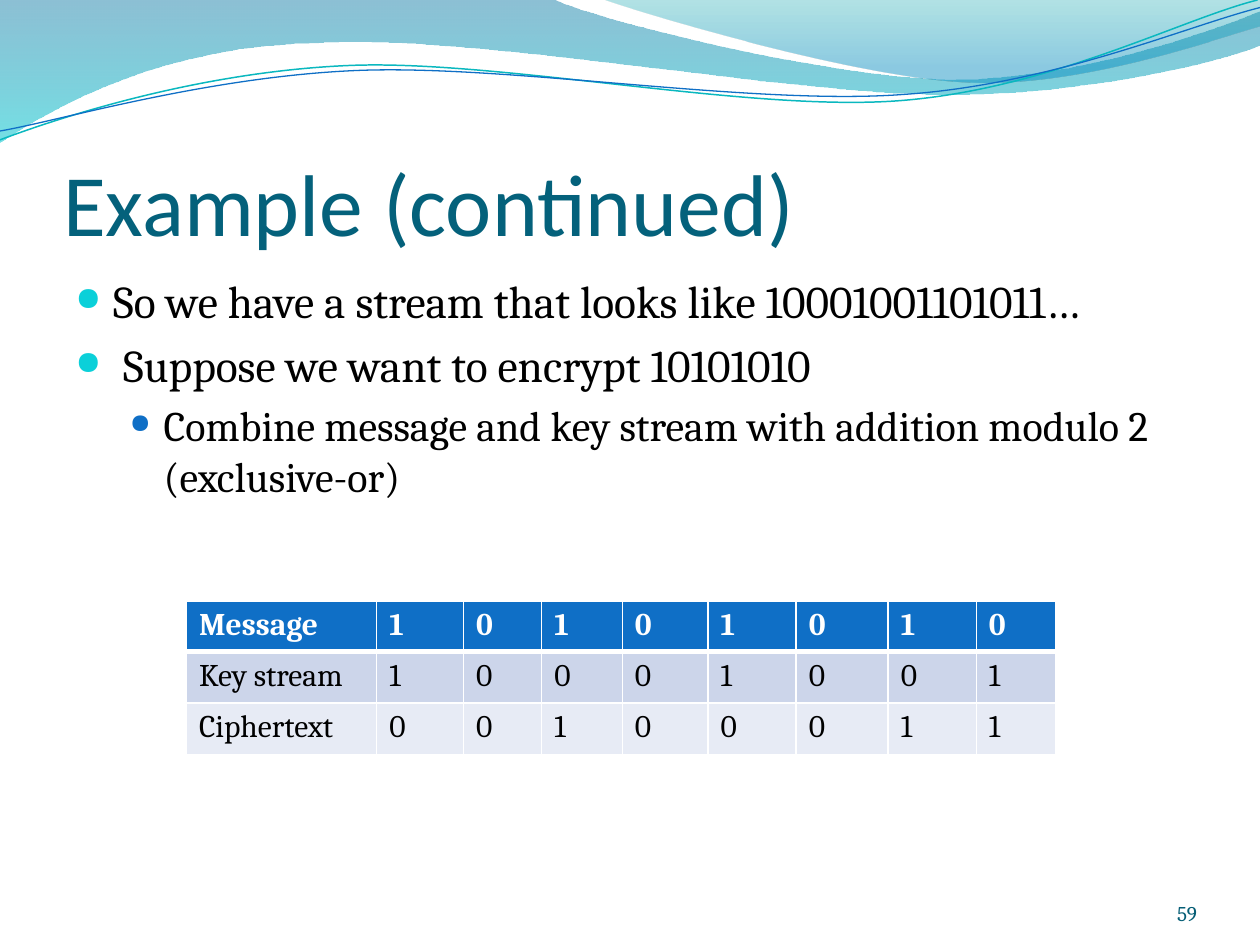
"""Build the stream cipher example slide with its wave banner and XOR table."""
import lxml.etree
import pptx
import pptx.dml.color
import pptx.enum.text
import pptx.oxml.ns
import pptx.util

Inches, Pt, qn = pptx.util.Inches, pptx.util.Pt, pptx.oxml.ns.qn
WIDTH, HEIGHT = 10, 7.5
HEADING, BODY = "Calibri", "Cambria"
COLORS = {
    "title": "04617B", "number": "045D75", "text": "000000", "white": "FFFFFF",
    "blue": "0F6FC6", "cyan": "0BD0D9", "teal": "0AB8BF",
    "odd": "CCD5EA", "even": "E7EBF5",
    "deep": "0074A1", "aqua": "00C6CF", "green": "00A1A9", "sky": "008BBF",
}
TITLE = "Example (continued)"
PAGE_NUMBER = "59"
BULLETS = [
    (0, "So we have a stream that looks like 10001001101011…"),
    (0, " Suppose we want to encrypt 10101010"),
    (1, "Combine message and key stream with addition modulo 2 (exclusive-or)"),
]
LEVELS = [
    {"size": 26, "left": 0.3, "hang": 0.3, "color": "cyan", "percent": 72},
    {"size": 24, "left": 0.7, "hang": 0.27, "color": "blue", "percent": 64},
]
TABLE = [
    ("Message", "10101010", "blue"),
    ("Key stream", "10001001", "odd"),
    ("Ciphertext", "00100011", "even"),
]
COLUMNS = [1.51, 0.69, 0.62, 0.64, 0.68, 0.7, 0.73, 0.7, 0.63]
ROWS = [0.39, 0.41, 0.41]
BANDS = [
    {"path": [(0, 0), (4.4, 0), (4.76, 0.17, 6.64, 0.63, 7.58, 0.63),
              (8.53, 0.63, 9.58, 0.26, 10, 0.09), (10, 0.36),
              (9.83, 0.44, 8.7, 0.76, 7.46, 0.75),
              (6.22, 0.75, 3.82, 0.28, 2.57, 0.34),
              (1.29, 0.36, 0.46, 0.83, 0, 1.13)],
     "stops": [("deep", 0, 45), ("aqua", 1, 55)]},
    {"path": [(4.79, 0), (5.09, 0.11, 6.82, 0.62, 7.69, 0.65),
              (8.56, 0.69, 9.61, 0.32, 10, 0.21), (10, 0)],
     "stops": [("green", 0, 30), ("sky", 0.8, 45)]},
]
STRANDS = [
    {"path": [(0, 1.11), (0.48, 0.93, 1.58, 0.57, 2.77, 0.52),
              (3.95, 0.47, 5.93, 0.89, 7.13, 0.8),
              (8.33, 0.71, 9.38, 0.15, 9.98, 0)],
     "color": "teal", "width": 0.85},
    {"path": [(0, 1.04), (0.47, 0.96, 1.64, 0.61, 2.83, 0.56),
              (4.03, 0.51, 5.97, 0.84, 7.17, 0.75),
              (8.36, 0.67, 9.41, 0.21, 10, 0.06)],
     "color": "blue", "width": 0.75},
]


def rgb(name):
    return pptx.dml.color.RGBColor.from_string(COLORS[name])


def style(font, name, size, color, bold=False):
    font.name, font.size, font.bold = name, Pt(size), bold
    font.color.rgb = rgb(color)


def add(parent, tag, **attributes):
    return lxml.etree.SubElement(parent, qn(tag), attributes)


def add_outline(page, path, close):
    """Draw straight segments between the anchors, then bend the Bezier ones."""
    anchors = [(Inches(segment[-2]), Inches(segment[-1])) for segment in path]
    builder = page.shapes.build_freeform(*anchors[0], scale=1.0)
    builder.add_line_segments(anchors[1:], close=close)
    shape = builder.convert_to_shape()
    shape.shadow.inherit = False
    lines = list(shape._element.spPr.iter(qn("a:lnTo")))
    for line, segment in zip(lines, path[1:]):
        if len(segment) == 6:
            curve = lxml.etree.Element(qn("a:cubicBezTo"))
            for x, y in zip(segment[::2], segment[1::2]):
                add(curve, "a:pt", x=str(Inches(x) - shape.left), y=str(Inches(y) - shape.top))
            line.getparent().replace(line, curve)
    return shape


def add_banner(page):
    for band in BANDS:
        shape = add_outline(page, band["path"], True)
        shape.line.fill.background()
        shape.fill.gradient()
        shape.fill.gradient_angle = 270
        for stop, (color, position, _) in zip(shape.fill.gradient_stops, band["stops"]):
            stop.color.rgb, stop.position = rgb(color), position
        tints = shape._element.spPr.iter(qn("a:srgbClr"))
        for tint, (_, _, opacity) in zip(tints, band["stops"]):
            add(tint, "a:alpha", val=str(opacity * 1000))
    for strand in STRANDS:
        shape = add_outline(page, strand["path"], False)
        shape.fill.background()
        shape.line.color.rgb, shape.line.width = rgb(strand["color"]), Pt(strand["width"])


def add_title(page):
    title = page.shapes.title
    title.left, title.top, title.width, title.height = map(Inches, (0.5, 0.77, 9, 1.25))
    frame = title.text_frame
    frame.text = TITLE
    frame.auto_size = pptx.enum.text.MSO_AUTO_SIZE.NONE
    frame.vertical_anchor = pptx.enum.text.MSO_ANCHOR.BOTTOM
    frame.margin_left = frame.margin_right = frame.margin_bottom = 0
    frame.paragraphs[0].alignment = pptx.enum.text.PP_ALIGN.LEFT
    style(frame.paragraphs[0].runs[0].font, HEADING, 50, "title")


def add_bullets(page):
    frame = page.shapes.add_textbox(*map(Inches, (0.5, 2.12, 9, 4.8))).text_frame
    frame.word_wrap = True
    frame.text = "\n".join(text for _, text in BULLETS)
    for index, (para, (depth, _)) in enumerate(zip(frame.paragraphs, BULLETS)):
        level = LEVELS[depth]
        para.level = depth
        if index:
            para.space_before = Pt(level["size"] * 0.2)
        properties = para._p.get_or_add_pPr()
        properties.set("marL", str(Inches(level["left"])))
        properties.set("indent", str(-Inches(level["hang"])))
        add(add(properties, "a:buClr"), "a:srgbClr", val=COLORS[level["color"]])
        add(properties, "a:buSzPct", val=str(level["percent"] * 1000))
        add(properties, "a:buChar", char="●")
        style(para.runs[0].font, BODY, level["size"], "text")


def add_page_number(page):
    frame = page.shapes.add_textbox(*map(Inches, (8.67, 6.95, 0.83, 0.4))).text_frame
    frame.margin_left = frame.margin_right = frame.margin_top = frame.margin_bottom = 0
    frame.word_wrap = True
    frame.vertical_anchor = pptx.enum.text.MSO_ANCHOR.BOTTOM
    frame.text = PAGE_NUMBER
    frame.paragraphs[0].alignment = pptx.enum.text.PP_ALIGN.RIGHT
    style(frame.paragraphs[0].runs[0].font, BODY, 12, "number")


def add_border(cell, side, width):
    line = add(cell._tc.get_or_add_tcPr(), f"a:ln{side}", w=str(Pt(width)))
    add(add(line, "a:solidFill"), "a:srgbClr", val=COLORS["white"])


def add_bit_table(page):
    place = map(Inches, (1.48, 4.77, sum(COLUMNS), sum(ROWS)))
    table = page.shapes.add_table(len(TABLE), len(COLUMNS), *place).table
    for column, width in zip(table.columns, COLUMNS):
        column.width = Inches(width)
    for row, (label, bits, fill) in enumerate(TABLE):
        table.rows[row].height = Inches(ROWS[row])
        header = row == 0
        for column, text in enumerate([label, *bits]):
            cell = table.cell(row, column)
            cell.text = text
            style(cell.text_frame.paragraphs[0].runs[0].font, BODY, 18,
                  "white" if header else "text", header)
            for side in "LRTB":
                thick = (header and side == "B") or (row == 1 and side == "T")
                add_border(cell, side, 3 if thick else 1)
            cell.fill.solid()
            cell.fill.fore_color.rgb = rgb(fill)


def main():
    deck = pptx.Presentation()
    deck.slide_width, deck.slide_height = Inches(WIDTH), Inches(HEIGHT)
    page = deck.slides.add_slide(deck.slide_layouts.get_by_name("Title Only"))
    add_banner(page)
    add_title(page)
    add_bullets(page)
    add_page_number(page)
    add_bit_table(page)
    deck.save("out.pptx")


if __name__ == "__main__":
    main()
